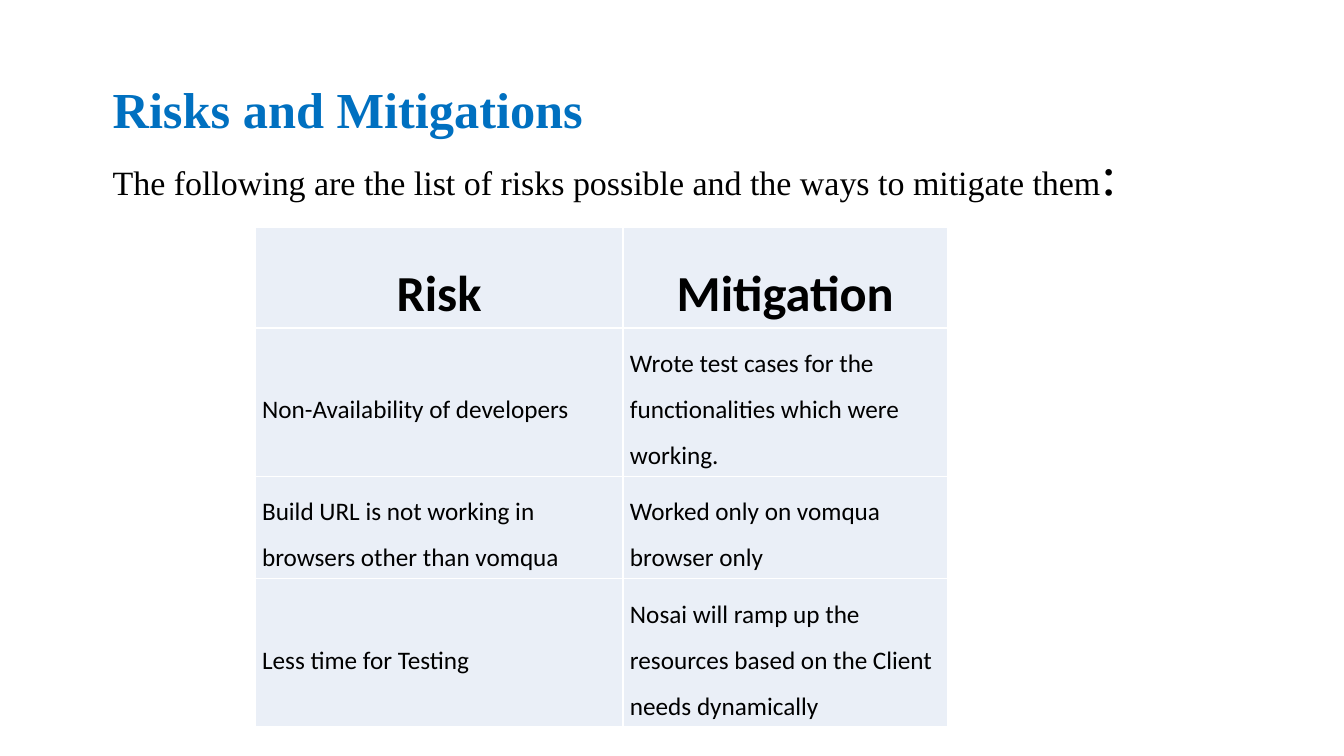
"""Build the risks and mitigations slide."""
from pptx import Presentation
from pptx.dml.color import RGBColor
from pptx.enum.text import MSO_ANCHOR, PP_ALIGN
from pptx.util import Pt

COLORS = {"heading": "0070C0", "text": "000000", "cell": "EAEFF7"}
HEADING_FONT = "Times New Roman"
TABLE_FONT = "Calibri"
COLUMN_WIDTHS = [262.8, 231.8]
ROW_HEIGHTS = [72, 106, 73, 106]
RISKS = [
    ("Risk", "Mitigation"),
    ("Non-Availability of developers",
     "Wrote test cases for the functionalities which were working."),
    ("Build URL is not working in browsers other than vomqua",
     "Worked only on vomqua browser only"),
    ("Less time for Testing",
     "Nosai will ramp up the resources based on the Client needs dynamically"),
]


def format_span(span, font, size, color="text", bold=False):
    span.font.name = font
    span.font.size = Pt(size)
    span.font.bold = bold
    span.font.color.rgb = RGBColor.from_string(COLORS[color])


def add_heading(page):
    box = page.shapes.add_textbox(Pt(73.4), Pt(52), Pt(828), Pt(98))
    frame = box.text_frame
    frame.word_wrap = True
    frame.text = "Risks and Mitigations"
    format_span(frame.paragraphs[0].runs[0], HEADING_FONT, 36, "heading", True)

    para = frame.add_paragraph()
    para.space_before = Pt(1)
    para.text = "The following are the list of risks possible and the ways to mitigate them"
    format_span(para.runs[0], HEADING_FONT, 24.3)
    colon = para.add_run()
    colon.text = ":"
    format_span(colon, HEADING_FONT, 39.6)


def fill_cell(cell, text, is_header):
    cell.fill.solid()
    cell.fill.fore_color.rgb = RGBColor.from_string(COLORS["cell"])
    cell.vertical_anchor = MSO_ANCHOR.MIDDLE
    cell.margin_left = cell.margin_right = Pt(5)
    cell.margin_top = cell.margin_bottom = Pt(3.6)
    cell.text_frame.text = text
    para = cell.text_frame.paragraphs[0]
    para.line_spacing = 1.5
    para.alignment = PP_ALIGN.CENTER if is_header else PP_ALIGN.LEFT
    format_span(para.runs[0], TABLE_FONT, 36 if is_header else 18, bold=is_header)


def add_risk_table(page):
    frame = page.shapes.add_table(
        len(RISKS), len(COLUMN_WIDTHS), Pt(182.2), Pt(162.3),
        Pt(sum(COLUMN_WIDTHS)), Pt(sum(ROW_HEIGHTS)))
    table = frame.table
    table.first_row = False
    table.horz_banding = False
    for column, width in zip(table.columns, COLUMN_WIDTHS):
        column.width = Pt(width)
    for row_index, texts in enumerate(RISKS):
        table.rows[row_index].height = Pt(ROW_HEIGHTS[row_index])
        for column_index, text in enumerate(texts):
            fill_cell(table.cell(row_index, column_index), text, row_index == 0)


def main():
    deck = Presentation()
    deck.slide_width = Pt(960)
    deck.slide_height = Pt(540)
    page = deck.slides.add_slide(deck.slide_layouts[6])
    add_heading(page)
    add_risk_table(page)
    deck.save("out.pptx")


if __name__ == "__main__":
    main()
